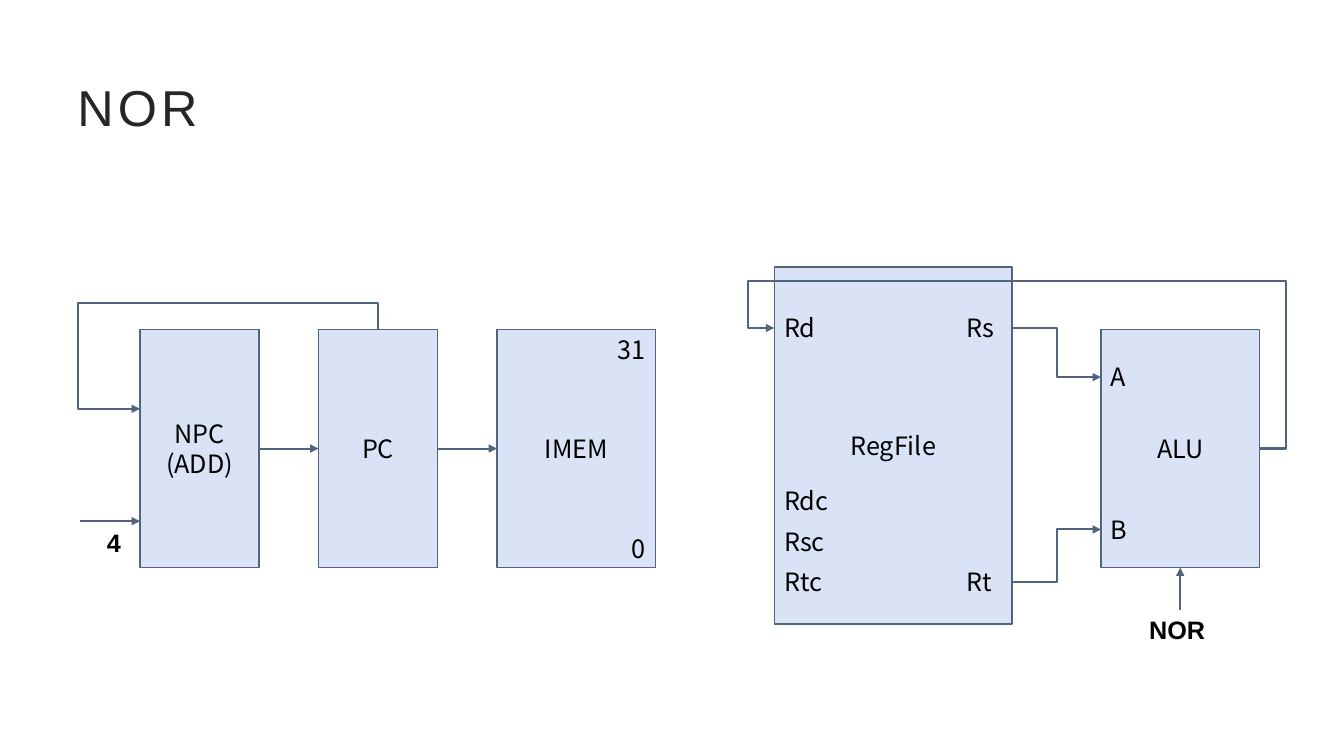
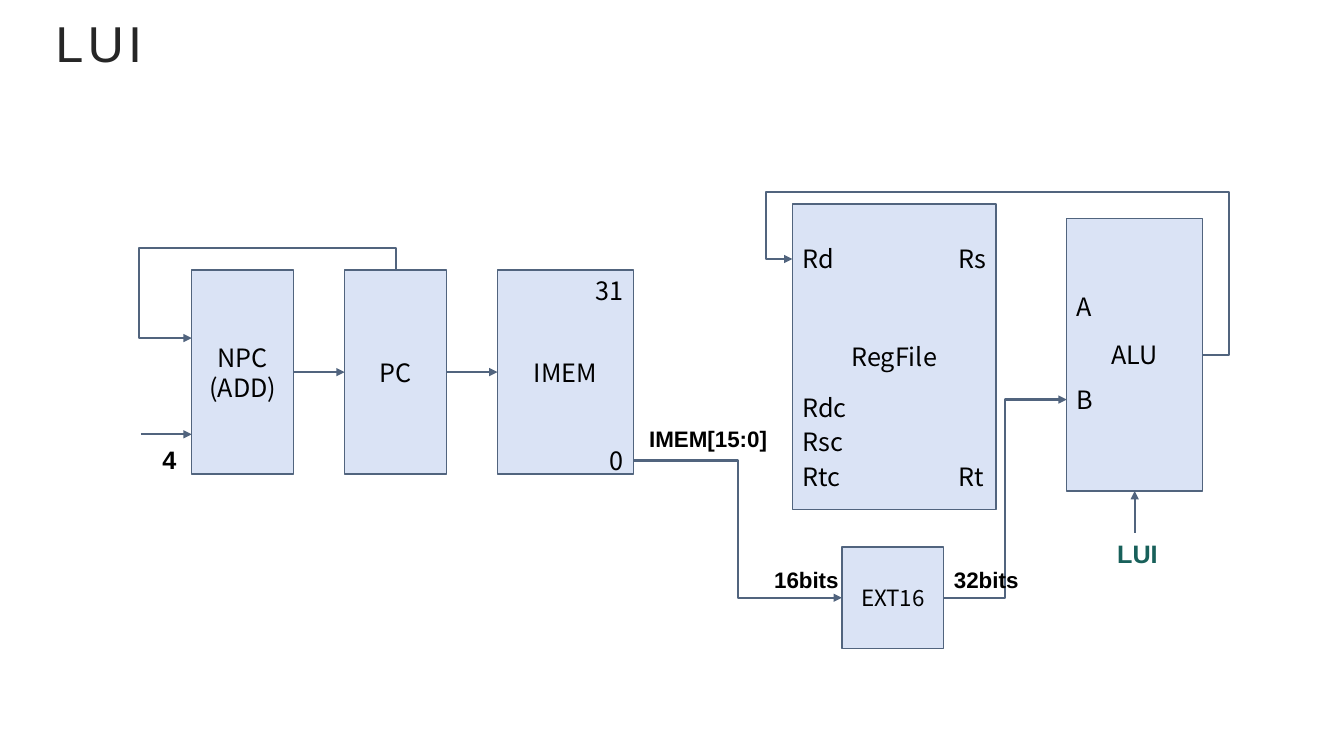
from dataclasses import dataclass

from lxml import etree
from pptx import Presentation
from pptx.dml.color import RGBColor
from pptx.enum.shapes import MSO_CONNECTOR, MSO_SHAPE
from pptx.enum.text import MSO_ANCHOR, MSO_AUTO_SIZE, PP_ALIGN
from pptx.oxml.ns import qn
from pptx.util import Pt

LEFT, CENTER, RIGHT = PP_ALIGN.LEFT, PP_ALIGN.CENTER, PP_ALIGN.RIGHT
MIDDLE, TOP = MSO_ANCHOR.MIDDLE, MSO_ANCHOR.TOP
STRAIGHT, ELBOW = MSO_CONNECTOR.STRAIGHT, MSO_CONNECTOR.ELBOW
RECTANGLE = MSO_SHAPE.RECTANGLE
NO_AUTOFIT = MSO_AUTO_SIZE.NONE
TITLE_ONLY = 5
SIDE_TOP, SIDE_LEFT, SIDE_BOTTOM, SIDE_RIGHT = range(4)


@dataclass(frozen=True)
class Theme:
    fill: str = "DAE3F5"
    line: str = "51647E"
    text: str = "000000"
    title: str = "262626"
    accent: str = "18605A"
    head_font: str = "Arial"
    block_font: str = "Noto Sans CJK JP"
    title_size: float = 36
    size: float = 18
    small_size: float = 16
    border: float = 1
    wire: float = 1.5
    label_height: float = 28.8
    port: float = 14.6
    reach: float = 18.7
    op_wire: float = 30


THEME = Theme()
PORT = {"name": THEME.block_font}
SIGNAL = {"name": THEME.head_font, "bold": True}
BITS = {**SIGNAL, "size": THEME.small_size}

NOR = {
    "title": ("NOR", 48, 48.5),
    "unit": 42.5,
    "fetch": (100, 235.4),
    "four_top": 137.5,
    "reg": (553, 190.8),
    "alu": (786.4, 235.4, 170),
    "ports": {"A": 19.4, "B": 128.2},
    "bus_top": 200.9,
    "op_shift": -2.2,
    "op_color": THEME.text,
}
LUI = {
    "title": ("LUI", 32.4, 2.9),
    "unit": 36.4,
    "fetch": (137, 193),
    "four_top": 121,
    "reg": (566, 145.7),
    "alu": (762, 156.3, 194.4),
    "ports": {"A": 48.2, "B": 114.5},
    "bus_top": 137.5,
    "op_shift": 2,
    "op_color": THEME.accent,
}


def write(tf, text, align=CENTER, anchor=MIDDLE, color=THEME.text, **font):
    for key, value in {"word_wrap": True, "auto_size": NO_AUTOFIT,
                       "vertical_anchor": anchor}.items():
        setattr(tf, key, value)
    for i, line in enumerate(text.split("\n")):
        p = tf.add_paragraph() if i else tf.paragraphs[0]
        p.alignment = align
        r = p.add_run()
        r.text = line
        font = {"name": THEME.block_font, "size": THEME.size, **font}
        for key, value in font.items():
            setattr(r.font, key, Pt(value) if key == "size" else value)
        r.font.color.rgb = RGBColor.from_string(color)


def add_title(s, text, x, y):
    sp = s.shapes.title
    sp.left, sp.top, sp.width, sp.height = Pt(x), Pt(y), Pt(864), Pt(55.4)
    write(sp.text_frame, text, LEFT, color=THEME.title,
          name=THEME.head_font, size=THEME.title_size)
    r = sp.text_frame.paragraphs[0].runs[0]
    r._r.get_or_add_rPr().set("spc", "300")


def add_block(s, text, x, y, w, h, size=THEME.size):
    sp = s.shapes.add_shape(RECTANGLE, Pt(x), Pt(y), Pt(w), Pt(h))
    sp.shadow.inherit = False
    sp.fill.solid()
    sp.fill.fore_color.rgb = RGBColor.from_string(THEME.fill)
    sp.line.color.rgb = RGBColor.from_string(THEME.line)
    sp.line.width = Pt(THEME.border)
    write(sp.text_frame, text, size=size)
    return sp


def add_label(s, text, x, y, w, align=LEFT, **font):
    sp = s.shapes.add_textbox(Pt(x), Pt(y), Pt(w), Pt(THEME.label_height))
    write(sp.text_frame, text, align, TOP, **font)


def add_wire(s, start, end, bends=(), arrow="tailEnd"):
    kind = ELBOW if bends else STRAIGHT
    cx = s.shapes.add_connector(kind, *map(Pt, (*start, *end)))
    cx.line.color.rgb = RGBColor.from_string(THEME.line)
    cx.line.width = Pt(THEME.wire)
    etree.SubElement(cx.line._get_or_add_ln(), qn(f"a:{arrow}"), type="triangle")
    etree.SubElement(cx._element.spPr, qn("a:effectLst"))
    if bends:
        geom = cx._element.spPr.find(qn("a:prstGeom"))
        geom.set("prst", f"bentConnector{len(bends) + 2}")
        guides = geom.get_or_add_avLst()
        for i, bend in enumerate(bends):
            a, b = start[i % 2], end[i % 2]
            ratio = round((bend - a) / (b - a) * 100000)
            etree.SubElement(guides, qn("a:gd"), name=f"adj{i + 1}",
                             fmla=f"val {ratio}")
    return cx


def link(s, a, b):
    cx = add_wire(s, (0, 0), (1, 1))
    cx.begin_connect(a, SIDE_RIGHT)
    cx.end_connect(b, SIDE_LEFT)


def add_fetch(s, d):
    u, (x, y) = d["unit"], d["fetch"]
    names = ("NPC\n(ADD)", "PC", "IMEM")
    widths = (2 * u, 2 * u, 8 * u / 3)
    blocks = [add_block(s, name, x + 3 * u * i, y, w, 4 * u)
              for i, (name, w) in enumerate(zip(names, widths))]
    for a, b in zip(blocks, blocks[1:]):
        link(s, a, b)
    right = x + 6 * u + widths[2]
    zero_top = y + 10 * u / 3
    for text, top in (("31", y), ("0", zero_top)):
        add_label(s, text, right - 1.25 * u, top, 1.25 * u, RIGHT, **PORT)
    add_wire(s, (x, y + 4 * u / 3), (x + 4 * u, y),
             (x - 1.04 * u, y - 0.44 * u), "headEnd")
    add_wire(s, (x - u, y + 3.22 * u), (x, y + 3.22 * u))
    add_label(s, "4", x - 0.88 * u, y + d["four_top"], 0.88 * u, CENTER, **SIGNAL)
    return right, zero_top + THEME.port


def add_execute(s, d):
    u, (x, y), (ax, ay, ah) = d["unit"], d["reg"], d["alu"]
    aw = 8 * u / 3
    add_block(s, "RegFile", x, y, 4 * u, 6 * u)
    alu = add_block(s, "ALU", ax, ay, aw, ah)
    rd_top, rtc_top = y + 0.68 * u, y + 4.95 * u
    for text, left, top in (
        ("Rd", x, rd_top),
        *((name, x, y + (3.59 + 0.68 * i) * u)
          for i, name in enumerate(("Rdc", "Rsc", "Rtc"))),
        ("Rs", x + 3.06 * u, rd_top),
        ("Rt", x + 3.06 * u, rtc_top),
        *((name, ax, ay + top) for name, top in d["ports"].items()),
    ):
        add_label(s, text, left, top, 54, **PORT)
    right, reach = ax + aw, THEME.reach
    add_wire(s, (right, ay + ah / 2), (x, rd_top + THEME.port),
             (right + reach, d["bus_top"], x - reach))
    mid, op_top = ax + aw / 2, ay + ah + THEME.op_wire
    cx = add_wire(s, (mid, op_top), (mid, ay + ah))
    cx.end_connect(alu, SIDE_BOTTOM)
    add_label(s, d["title"][0], mid + d["op_shift"] - 50, op_top, 100, CENTER,
              color=d["op_color"], **SIGNAL)
    pins = {name: (ax, ay + top + THEME.port) for name, top in d["ports"].items()}
    pins.update({name: (x + 4 * u, top + THEME.port)
                 for name, top in (("Rs", rd_top), ("Rt", rtc_top))})
    return pins


def add_side_wire(s, start, end):
    add_wire(s, start, end, ((start[0] + end[0]) / 2,))


def add_extender(s, d, source, target):
    x, y, side = 601.4, 390.6, 2 * d["unit"]
    add_block(s, "EXT16", x, y, side, side, THEME.small_size)
    add_side_wire(s, source, (x, y + side / 2))
    add_side_wire(s, (x + side, y + side / 2), target)
    for text, left, top, w, align in (
        ("16bits", 545, 400.5, 62, CENTER),
        ("32bits", 674.3, 400.5, 64.8, LEFT),
        ("IMEM[15:0]", 444.3, 300.4, 123, CENTER),
    ):
        add_label(s, text, left, top, w, align, **BITS)


def add_datapath(prs, d):
    s = prs.slides.add_slide(prs.slide_layouts[TITLE_ONLY])
    add_title(s, *d["title"])
    return s, add_fetch(s, d), add_execute(s, d)


def main():
    prs = Presentation()
    prs.slide_width, prs.slide_height = Pt(960), Pt(540)
    s, _, pins = add_datapath(prs, NOR)
    for a, b in (("Rs", "A"), ("Rt", "B")):
        add_side_wire(s, pins[a], pins[b])
    s, imem, pins = add_datapath(prs, LUI)
    add_extender(s, LUI, imem, pins["B"])
    prs.save("out.pptx")


if __name__ == "__main__":
    main()
